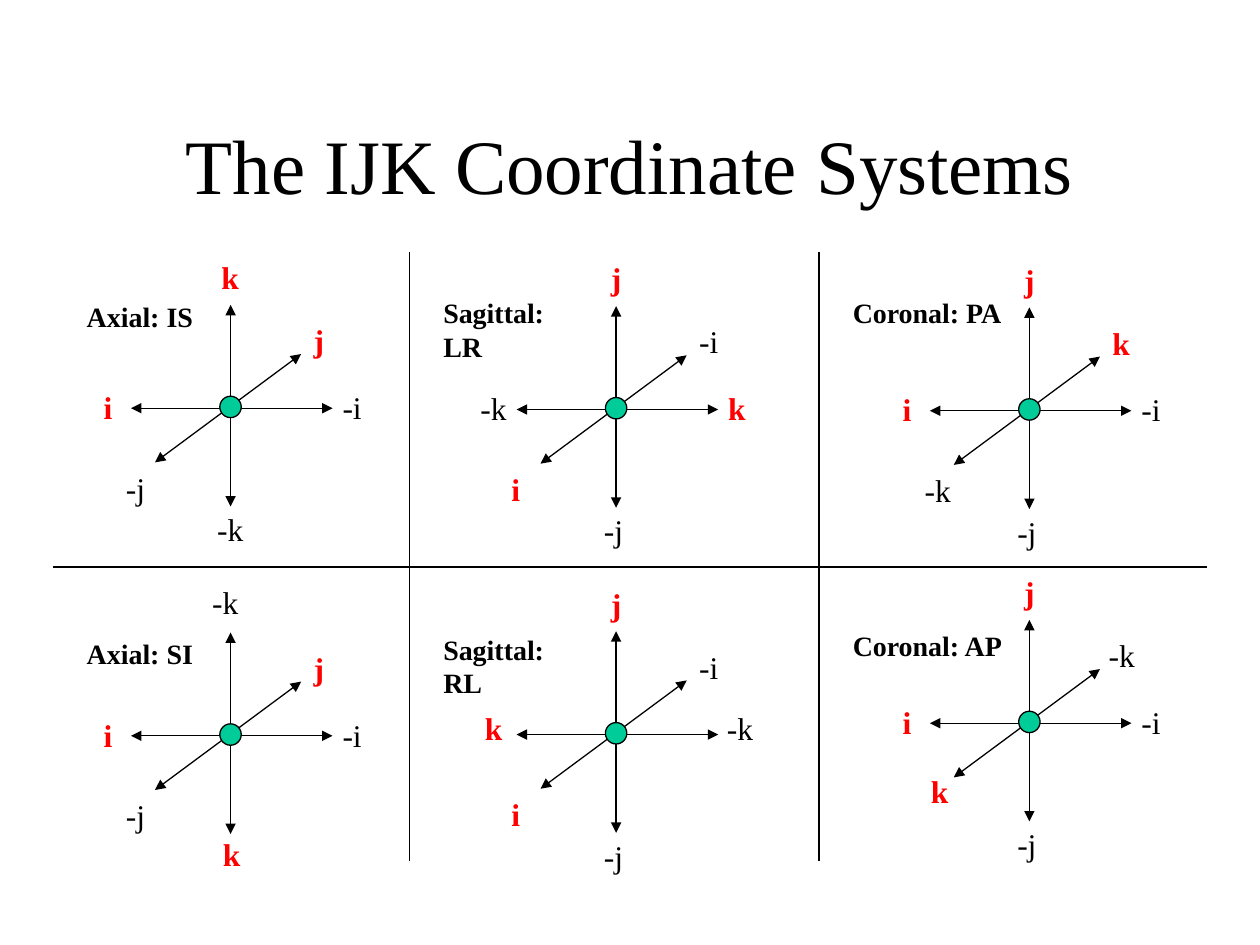
from lxml import etree
from pptx import Presentation
from pptx.dml.color import RGBColor
from pptx.enum.shapes import MSO_CONNECTOR, MSO_SHAPE
from pptx.enum.text import MSO_ANCHOR, MSO_AUTO_SIZE, PP_ALIGN
from pptx.oxml.ns import qn
from pptx.util import Inches, Pt

STRAIGHT, OVAL = MSO_CONNECTOR.STRAIGHT, MSO_SHAPE.OVAL
MIDDLE, CENTER, LEFT = MSO_ANCHOR.MIDDLE, PP_ALIGN.CENTER, PP_ALIGN.LEFT
GROW, FIXED = MSO_AUTO_SIZE.SHAPE_TO_FIT_TEXT, MSO_AUTO_SIZE.NONE

COLORS = {"ink": "000000", "plus": "FF0000", "ball": "00CC99"}
FONT = "Times New Roman"
COLS, ROWS = 100, 75

# Arrow ends, as offsets from the centre of a panel's axes
AXES = [((8.1, 0), (-7.9, 0)), ((0, 7.8), (0, -8.2)), ((-6, 4.3), (5.6, -4.3))]
# Label spots: offset from the centre, and the share of the label's width left of it
SPOTS = {"e": (7.9, -2.1, 0), "ne": (5.6, -7.4, 0), "n": (0, -12.4, 0.5),
         "w": (-9.7, -2.1, 0.5), "sw": (-9.3, 4.3, 0), "s": (-0.2, 7.6, 0.5)}
WIDTHS = {"i": 2.7, "j": 2.8, "k": 3.4, "-i": 3.5, "-j": 3.5, "-k": 4.1}

# Name, its left, top and width, the centre, labels in spot order, nudges by spot
PANELS = [
    ("Axial: IS", (5.9, 23.3, 10.4), (18.3, 32.4),
     "-i j k i -j -k", {"s": (0.2, 0)}),
    ("Sagittal: LR", (34.2, 23, 13.6), (48.9, 32.5), "k -i j -k i -j", {}),
    ("Coronal: PA", (66.7, 23, 14), (81.7, 32.6), "-i k j i -k -j", {}),
    ("Axial: SI", (5.9, 50, 10.4), (18.3, 58.4),
     "-i j -k i -j k", {"n": (-0.4, -0.2), "s": (0.3, -0.2)}),
    ("Sagittal: RL", (34.2, 49.7, 13.6), (48.9, 58.3),
     "-k -i j k i -j", {"e": (-0.1, -0.4), "w": (0, -0.4)}),
    ("Coronal: AP", (66.7, 49.4, 14), (81.7, 57.4),
     "-i -k j i k -j", {"ne": (-0.3, 0), "sw": (0.5, -0.9)}),
]


class Deck:
    """Hold the style and the current slide."""

    def __init__(self):
        """Start a deck with one blank slide."""
        self.prs = Presentation()
        self.prs.slide_width, self.prs.slide_height = Inches(10), Inches(7.5)
        self.slide = self.prs.slides.add_slide(self.prs.slide_layouts[6])

    def grid(self, x, y):
        """Turn columns and rows into lengths."""
        return (int(self.prs.slide_width * x / COLS),
                int(self.prs.slide_height * y / ROWS))

    def color(self, key):
        """Look up a colour."""
        return RGBColor.from_string(COLORS[key])

    def stroke(self, line):
        """Give a line the common look."""
        line.color.rgb = self.color("ink")
        line.width = Pt(0.74)

    def text(self, words, x, y, w, h, size, bold=False, key="ink", title=False):
        """Add a text box, centred and wrapped if it is the title."""
        box = self.slide.shapes.add_textbox(*self.grid(x, y), *self.grid(w, h))
        frame = box.text_frame
        frame.text = words
        frame.word_wrap = title
        frame.auto_size = FIXED if title else GROW
        if title:
            frame.vertical_anchor = MIDDLE
        part = frame.paragraphs[0]
        part.alignment = CENTER if title else LEFT
        font = part.runs[0].font
        font.name, font.size, font.bold = FONT, Pt(size), bold
        font.color.rgb = self.color(key)

    def line(self, start, end, arrows=False):
        """Add a line, with arrowheads at both ends if asked."""
        rule = self.slide.shapes.add_connector(
            STRAIGHT, *self.grid(*start), *self.grid(*end))
        self.stroke(rule.line)
        if arrows:
            for tag in ("a:headEnd", "a:tailEnd"):
                etree.SubElement(rule.line._ln, qn(tag), type="triangle")
        etree.SubElement(rule._element.spPr, qn("a:effectLst"))

    def ball(self, x, y, size):
        """Add a ball centred on a point."""
        left, top = self.grid(x - size / 2, y - size / 2)
        dot = self.slide.shapes.add_shape(OVAL, left, top, *self.grid(size, size))
        dot.shadow.inherit = False
        dot.fill.solid()
        dot.fill.fore_color.rgb = self.color("ball")
        self.stroke(dot.line)

    def panel(self, name, spot, centre, labels, nudges):
        """Add one named set of axes with its six labels."""
        x, y = centre
        for start, end in AXES:
            self.line((x + start[0], y + start[1]), (x + end[0], y + end[1]), True)
        self.ball(x, y - 0.1, 1.7)
        for (side, (dx, dy, share)), label in zip(SPOTS.items(), labels.split()):
            nx, ny = nudges.get(side, (0, 0))
            wide = WIDTHS[label]
            plus = not label.startswith("-")
            self.text(label, x + dx + nx - share * wide, y + dy + ny, wide, 4,
                      18, plus, "plus" if plus else "ink")
        left, top, wide = spot
        self.text(name, left, top, wide, 3.7, 16, True)


def main():
    """Build the slide and save it."""
    deck = Deck()
    deck.text("The IJK Coordinate Systems", 7.5, 6.7, 85, 12.5, 44, title=True)
    for panel in PANELS:
        deck.panel(*panel)
    for x in (32.5, 65):
        deck.line((x, 20), (x, 68.3))
    deck.line((4.2, 45), (95.8, 45))
    deck.prs.save("out.pptx")


main()
